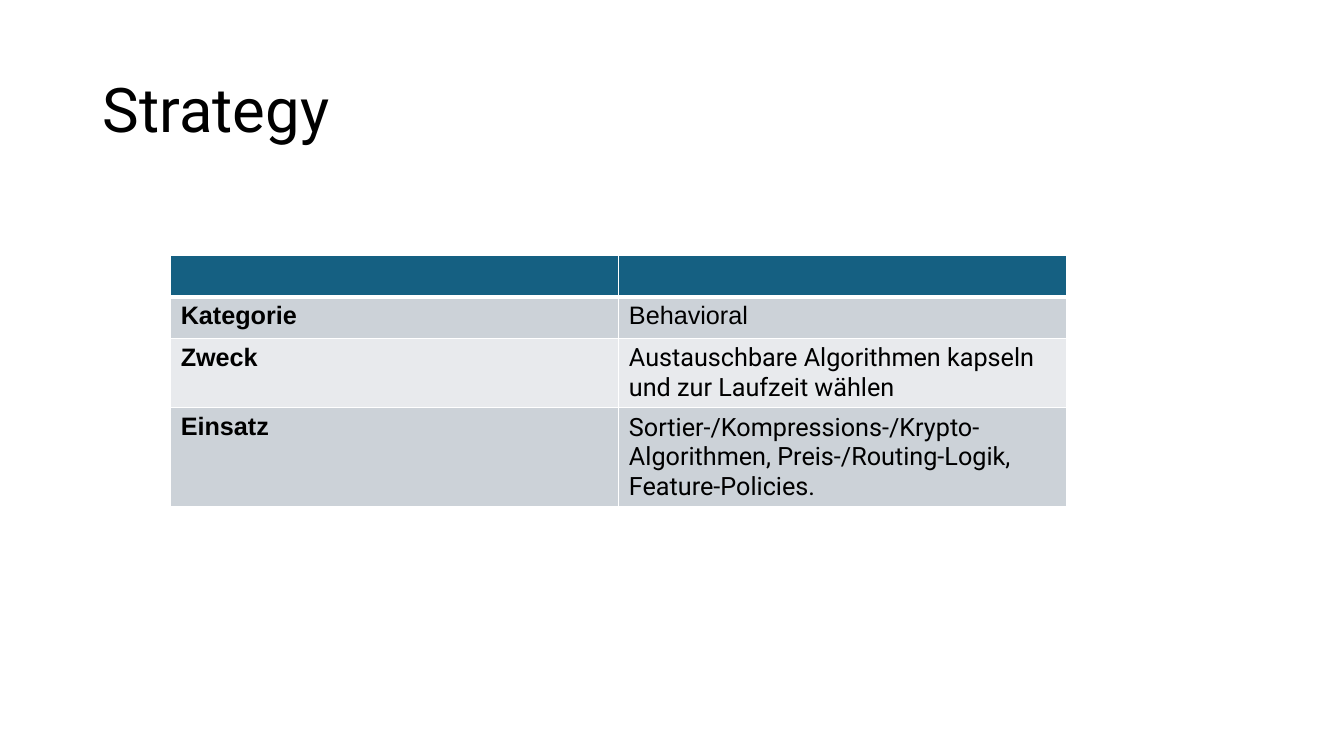
from dataclasses import dataclass

from lxml.etree import SubElement
from pptx import Presentation
from pptx.dml.color import RGBColor as Color
from pptx.enum.text import MSO_ANCHOR as Anchor, PP_ALIGN as Align
from pptx.oxml.ns import qn
from pptx.util import Inches, Pt


@dataclass(frozen=True)
class Theme:
    heading_font: str = "Roboto"
    label_font: str = "Arial"
    title_size: int = 44
    body_size: int = 18
    ink: str = "000000"
    paper: str = "FFFFFF"
    header: str = "156082"
    bands: tuple = ("CCD2D8", "E8EAED")
    thin: int = 1
    thick: int = 3


THEME = Theme()
WIDTH, HEIGHT = Inches(13.33), Inches(7.5)
HEADER_HEIGHT = 0.41
FACTS = [
    ("Kategorie", "Behavioral", THEME.label_font, Anchor.TOP, 0.41),
    ("Zweck", "Austauschbare Algorithmen kapseln und zur Laufzeit wählen",
     THEME.heading_font, Anchor.TOP, 0.69),
    ("Einsatz", "Sortier-/Kompressions-/Krypto-Algorithmen, "
     "Preis-/Routing-Logik, Feature-Policies.",
     THEME.heading_font, Anchor.MIDDLE, 0.98),
]


def style_font(para, name, size, bold=False):
    para.font.name = name
    para.font.size = Pt(size)
    para.font.bold = bold
    para.font.color.rgb = Color.from_string(THEME.ink)


def style_cell(cell, fill, top, bottom):
    properties = cell._tc.get_or_add_tcPr()
    edges = {"lnL": THEME.thin, "lnR": THEME.thin, "lnT": top, "lnB": bottom}
    for edge, width in edges.items():
        line = SubElement(properties, qn(f"a:{edge}"), w=str(Pt(width)))
        paint = SubElement(line, qn("a:solidFill"))
        SubElement(paint, qn("a:srgbClr"), val=THEME.paper)
    cell.fill.solid()
    cell.fill.fore_color.rgb = Color.from_string(fill)


def write_cell(cell, text, font, bold, anchor):
    cell.text = text
    cell.vertical_anchor = anchor
    style_font(cell.text_frame.paragraphs[0], font, THEME.body_size, bold)


def add_title(page, text, left, top, width, height):
    title = page.shapes.title
    title.left, title.top, title.width, title.height = left, top, width, height
    title.text = text
    title.text_frame.vertical_anchor = Anchor.MIDDLE
    para = title.text_frame.paragraphs[0]
    para.alignment = Align.LEFT
    para.line_spacing = 0.9
    style_font(para, THEME.heading_font, THEME.title_size)


def add_facts(page, facts, left, top, width):
    heights = [Inches(HEADER_HEIGHT)] + [Inches(fact[-1]) for fact in facts]
    frame = page.shapes.add_table(len(heights), 2, left, top, width, sum(heights))
    table = frame.table
    for row, height in zip(table.rows, heights):
        row.height = height
    for cell in table.rows[0].cells:
        style_cell(cell, THEME.header, THEME.thin, THEME.thick)
        style_font(cell.text_frame.paragraphs[0], THEME.label_font, THEME.body_size)
    for index, (label, value, font, anchor, _) in enumerate(facts):
        label_cell, value_cell = table.rows[index + 1].cells
        top_line = THEME.thin if index else THEME.thick
        for cell in (label_cell, value_cell):
            style_cell(cell, THEME.bands[index % 2], top_line, THEME.thin)
        write_cell(label_cell, label, THEME.label_font, True, Anchor.TOP)
        write_cell(value_cell, value, font, False, anchor)


def build_pattern_page(deck, name, facts):
    page = deck.slides.add_slide(deck.slide_layouts[5])
    page.background.fill.solid()
    page.background.fill.fore_color.rgb = Color.from_string(THEME.paper)
    margin = int(WIDTH * 0.069)
    add_title(page, name, margin, int(HEIGHT * 0.053),
              WIDTH - 2 * margin, int(HEIGHT * 0.193))
    add_facts(page, facts, int(WIDTH * 0.127), int(HEIGHT * 0.338), int(WIDTH * 0.667))


def main():
    deck = Presentation()
    deck.slide_width, deck.slide_height = WIDTH, HEIGHT
    build_pattern_page(deck, "Strategy", FACTS)
    deck.save("out.pptx")


if __name__ == "__main__":
    main()
